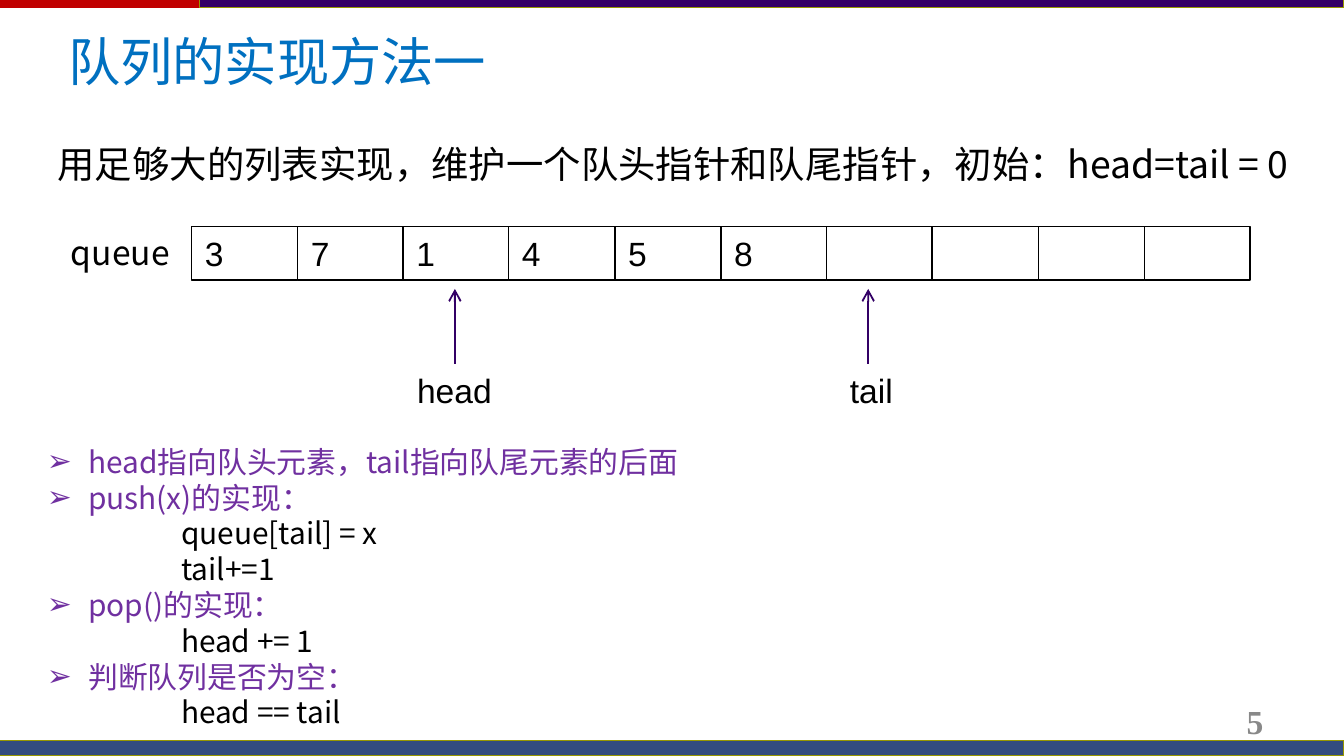
from lxml import etree
from pptx import Presentation
from pptx.dml.color import RGBColor
from pptx.enum.shapes import MSO_CONNECTOR as CONN, MSO_SHAPE as SHAPE
from pptx.enum.text import MSO_ANCHOR as ANCHOR, PP_ALIGN as ALIGN
from pptx.oxml.ns import qn
from pptx.util import Pt

PX = 4572  # 200 px to the inch
CJK, SANS, SERIF = "Noto Sans CJK SC", "Arial", "Times New Roman"
BLACK, INDIGO, PURPLE, OLIVE = "000000", "330066", "7030A0", "979700"
HAIRLINE = 0.01


def px(n):
    return n * PX


def rgb(code):
    return RGBColor.from_string(code)


def style(p, size, font, color, bold=False):
    """Format every run; CJK text gets its East Asian face and 1.2 leading."""
    for r in p.runs:
        r.font.size, r.font.name, r.font.bold = Pt(size), font, bold
        r.font.color.rgb = rgb(color)
        if font == CJK:
            latin = r._r.rPr.find(qn("a:latin"))
            latin.addnext(etree.Element(qn("a:ea"), typeface=font))
    if font == CJK:
        p.line_spacing = Pt(size * 1.2)


def add_text(s, box, text, size, font, color=BLACK, wrap=True, bold=False):
    sp = s.shapes.add_textbox(*map(px, box))
    tf = sp.text_frame
    tf.word_wrap = wrap
    tf.text = text
    for p in tf.paragraphs:
        style(p, size, font, color, bold)
    return sp


def add_rect(s, box, fill=None, line=None, width=HAIRLINE):
    sp = s.shapes.add_shape(SHAPE.RECTANGLE, *map(px, box))
    sp.shadow.inherit = False
    if fill:
        sp.fill.solid()
        sp.fill.fore_color.rgb = rgb(fill)
    else:
        sp.fill.background()
    if line:
        sp.line.color.rgb = rgb(line)
        sp.line.width = Pt(width)
    else:
        sp.line.fill.background()
    return sp


def frame(s, w, h):
    """Top and bottom bars with the page number."""
    split = 297
    add_rect(s, (0, 0, w, 12), "C00000")
    add_rect(s, (split, 0, w - split, 12), INDIGO, OLIVE)
    foot = add_rect(s, (0, h - 23, w, 23), "002060", OLIVE)
    clr = foot.fill._xPr.find(qn("a:solidFill"))[0]
    etree.SubElement(clr, qn("a:alpha"), val="80000")
    number = add_text(s, (1434, 1043, 466, 60), "5", 18, SERIF, "898989", bold=True)
    tf = number.text_frame
    tf.vertical_anchor = ANCHOR.MIDDLE
    tf.paragraphs[0].alignment = ALIGN.RIGHT


def heading(s, x, y, w):
    """Title and the sentence that introduces the method."""
    tf = add_text(s, (x, y, w, 168), "队列的实现方法一", 28, CJK, "0070C0").text_frame
    tf.margin_top = tf.margin_bottom = px(37)
    tf.paragraphs[0]._p.get_or_add_pPr().set("indent", str(px(58)))
    intro = "用足够大的列表实现，维护一个队头指针和队尾指针，初始：head=tail = 0"
    sp = add_text(s, (x + 42, y + 194, 1920, 88), intro, 20, CJK)
    sp.text_frame.vertical_anchor = ANCHOR.MIDDLE


def pointer(s, x, y, label, label_x, label_w):
    """Arrow up from a label; y is the tip."""
    base = y + 111
    sp = add_text(s, (label_x, base, label_w, 80), label, 18, SANS, wrap=False)
    c = s.shapes.add_connector(CONN.STRAIGHT, px(x), px(base), px(x), px(y))
    if 2 * x == 2 * label_x + label_w:
        c.begin_connect(sp, 0)
    c.line.color.rgb = rgb(INDIGO)
    c.line.width = Pt(1)
    etree.SubElement(c.line._get_or_add_ln(), qn("a:tailEnd"), type="arrow")
    etree.SubElement(c._element.spPr, qn("a:effectLst"))


def queue(s, x, y, w, h, values, slots):
    """Row of equal slots with its name and the two pointers."""
    add_text(s, (x - 199, y - 1, 192, h), "queue", 18, CJK, wrap=False)
    edges = [x + round(i * w / slots) for i in range(slots + 1)]
    for i, (left, right) in enumerate(zip(edges, edges[1:])):
        sp = add_rect(s, (left, y, right - left, h), line=BLACK, width=0.75)
        if i < len(values):
            tf = sp.text_frame
            tf.text = str(values[i])
            tf.vertical_anchor = ANCHOR.TOP
            p = tf.paragraphs[0]
            p.alignment = ALIGN.LEFT
            style(p, 18, SANS, BLACK)
    tip = y + h + 13
    pointer(s, x + 392, tip, "head", x + 316, 152)
    pointer(s, x + 1007, tip, "tail", x + 960, 104)


def operations(s, x, y, w, h):
    """Bulleted operations, each followed by its indented code."""
    groups = [
        ("head指向队头元素，tail指向队尾元素的后面", []),
        ("push(x)的实现：", ["queue[tail] = x", "tail+=1"]),
        ("pop()的实现：", ["head += 1"]),
        ("判断队列是否为空：", ["head == tail"]),
    ]
    lines = [(t, i == 0) for title, code in groups for i, t in enumerate([title, *code])]
    sp = add_text(s, (x, y, w, h), "\n".join(t for t, _ in lines), 16, CJK)
    for p, (_, is_title) in zip(sp.text_frame.paragraphs, lines):
        pPr = p._p.get_or_add_pPr()
        if is_title:
            for r in p.runs:
                r.font.color.rgb = rgb(PURPLE)
            pPr.set("marL", str(px(62)))
            pPr.set("indent", str(px(-62)))
            etree.SubElement(pPr, qn("a:buFont"), typeface=SANS)
            etree.SubElement(pPr, qn("a:buChar"), char="➢")
        else:
            pPr.set("marL", str(px(200)))


def main():
    prs = Presentation()
    w, h = 2000, 1125
    prs.slide_width, prs.slide_height = px(w), px(h)
    s = prs.slides.add_slide(prs.slide_layouts[6])
    frame(s, w, h)
    heading(s, 24, 6, 1922)
    queue(s, 285, 337, 1575, 80, [3, 7, 1, 4, 5, 8], 10)
    operations(s, 50, 650, 1392, 452)
    prs.save("out.pptx")


if __name__ == "__main__":
    main()
